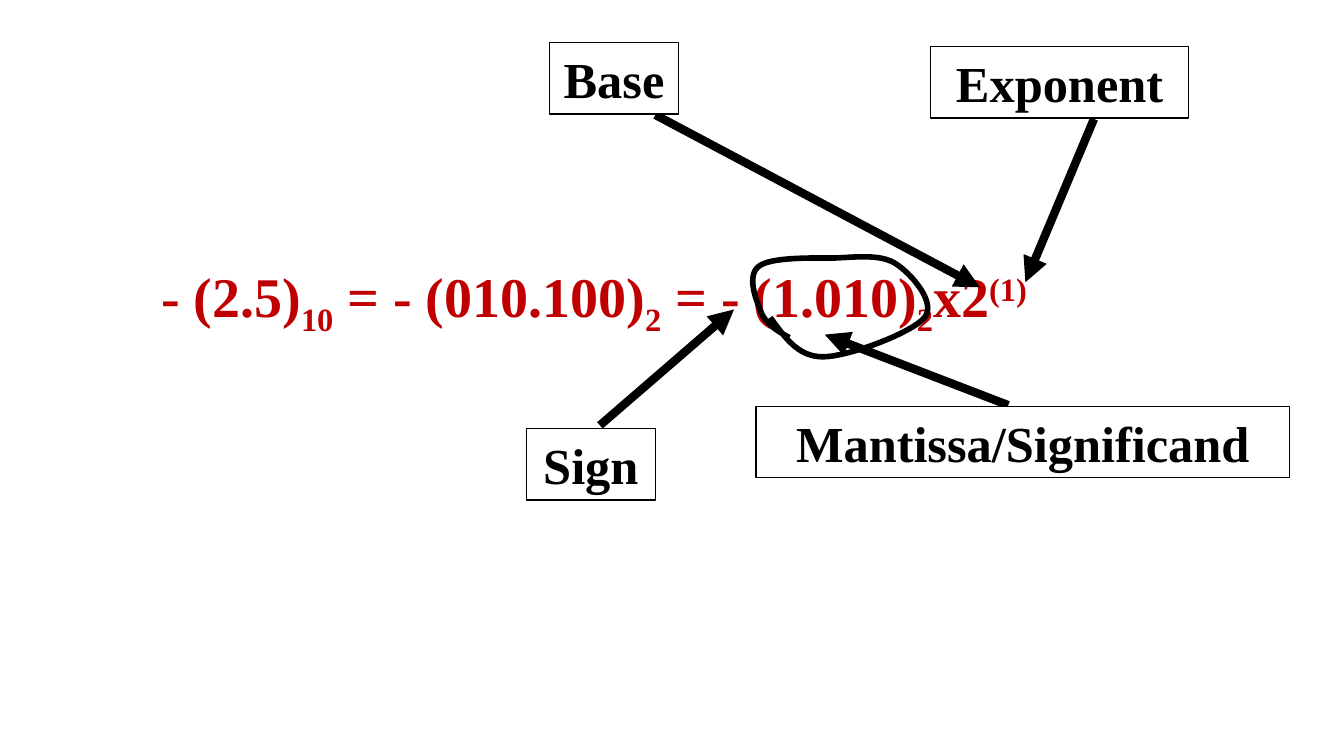
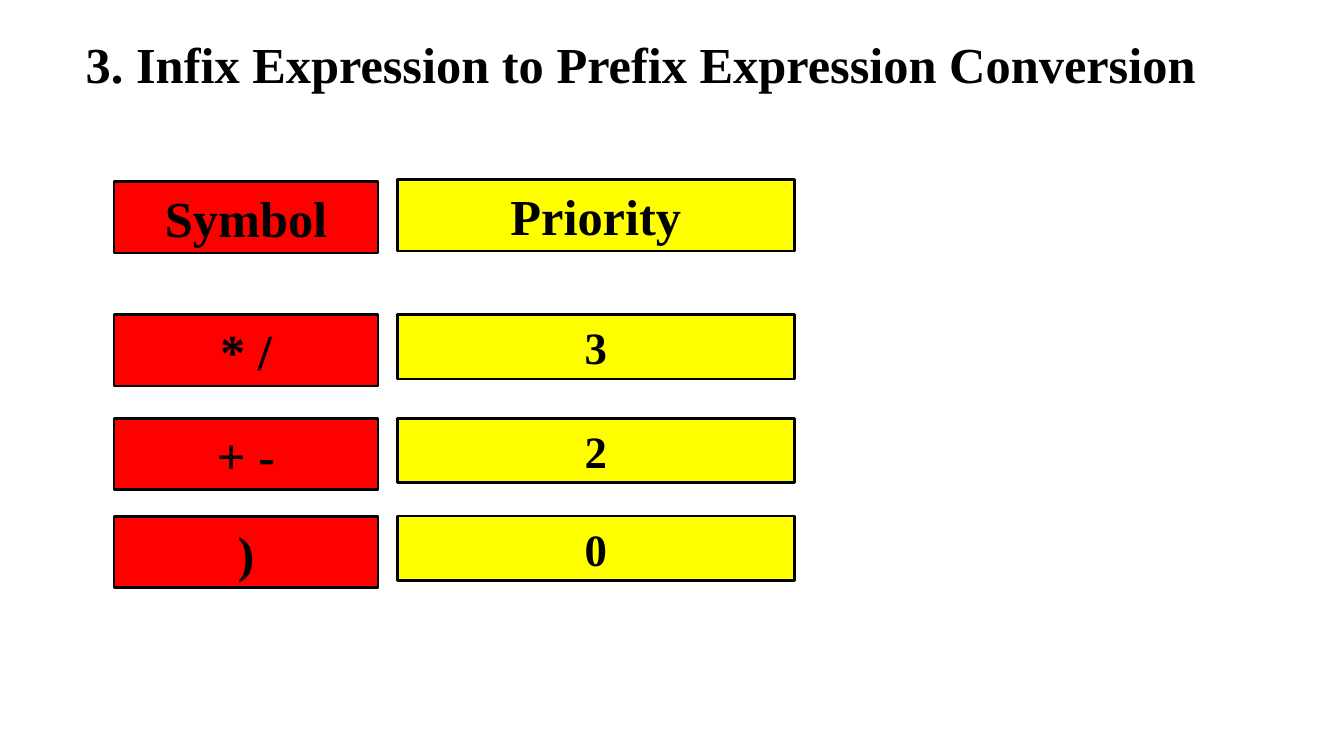
from dataclasses import dataclass

from lxml import etree
from pptx import Presentation
from pptx.dml.color import RGBColor
from pptx.enum.shapes import MSO_CONNECTOR, MSO_SHAPE
from pptx.enum.text import MSO_ANCHOR, MSO_AUTO_SIZE, PP_ALIGN
from pptx.oxml.ns import qn
from pptx.slide import Slide
from pptx.text.text import TextFrame
from pptx.util import Inches, Pt

BLACK = RGBColor(0x00, 0x00, 0x00)
WHITE = RGBColor(0xFF, 0xFF, 0xFF)
DARK_RED = RGBColor(0xC0, 0x00, 0x00)
RED = RGBColor(0xFF, 0x00, 0x00)
YELLOW = RGBColor(0xFF, 0xFF, 0x00)

RECTANGLE = MSO_SHAPE.RECTANGLE
STRAIGHT = MSO_CONNECTOR.STRAIGHT
LEFT, CENTER = PP_ALIGN.LEFT, PP_ALIGN.CENTER
MIDDLE = MSO_ANCHOR.MIDDLE
NO_AUTOSIZE = MSO_AUTO_SIZE.NONE

FONT_FORMAT = {"name": "Times New Roman", "bold": True}
TITLE_LAYOUT, BLANK_LAYOUT = 5, 6
BOX_HEIGHT = 0.71
SUBSCRIPT, SUPERSCRIPT = -25, 30

Point = tuple[float, float]


@dataclass(frozen=True)
class Box:
    text: str
    left: float
    top: float
    width: float
    height: float = BOX_HEIGHT
    fill: RGBColor = WHITE
    border: float = 1
    size: float = 36


@dataclass(frozen=True)
class Callout:
    label: Box
    start: Point
    tip: Point


@dataclass(frozen=True)
class Column:
    left: float
    width: float
    fill: RGBColor
    header_top: float
    row_height: float
    row_size: float


# Parts of the floating point number
FORMULA = [
    ("- (2.5)", 0), ("10", SUBSCRIPT),
    (" = - (010.100)", 0), ("2", SUBSCRIPT),
    (" = - (1.010)", 0), ("2", SUBSCRIPT),
    ("x2", 0), ("(1)", SUPERSCRIPT),
]
CALLOUTS = [
    Callout(Box("Sign", 5.22, 4.25, 1.28), (5.95, 4.22), (7.28, 3.07)),
    Callout(Box("Mantissa/Significand", 7.5, 4.03, 5.29), (10, 4.02), (8.18, 3.32)),
    Callout(Box("Base", 5.45, 0.42, 1.28), (6.5, 1.14), (9.72, 2.85)),
    Callout(Box("Exponent", 9.23, 0.46, 2.56), (10.85, 1.18), (10.17, 2.8)),
]
# Hand-drawn loop: a start, then two control points and an end per curve
LOOP_START = (7.64, 3.15)
LOOP_CURVES = [
    ((7.78, 3.34), (7.91, 3.54), (8.16, 3.54)),
    ((8.42, 3.54), (9.05, 3.3), (9.17, 3.15)),
    ((9.29, 3), (9.04, 2.72), (8.89, 2.62)),
    ((8.74, 2.52), (8.51, 2.55), (8.28, 2.56)),
    ((8.05, 2.56), (7.65, 2.55), (7.53, 2.64)),
    ((7.4, 2.73), (7.5, 2.98), (7.55, 3.1)),
    ((7.6, 3.22), (7.72, 3.29), (7.83, 3.35)),
]
CURVE_STEPS = 16

# Operator priorities
SYMBOL = Column(1.13, 2.62, RED, 1.8, BOX_HEIGHT, 36)
PRIORITY = Column(3.94, 3.94, YELLOW, 1.78, 0.64, 32)
ROW_TOPS = [3.12, 4.15, 5.12]
PRIORITY_TABLE = [
    (SYMBOL, "Symbol", ["* /", "+ -", ")"]),
    (PRIORITY, "Priority", ["3", "2", "0"]),
]


def add_run(frame: TextFrame, text: str, size: float, color: RGBColor,
            baseline: int = 0) -> None:
    run = frame.paragraphs[0].add_run()
    run.text = text
    for attribute, value in (FONT_FORMAT | {"size": Pt(size)}).items():
        setattr(run.font, attribute, value)
    run.font.color.rgb = color
    if baseline:
        run.font._element.set("baseline", str(baseline * 1000))


def add_box(slide: Slide, box: Box) -> None:
    shape = slide.shapes.add_shape(
        RECTANGLE, Inches(box.left), Inches(box.top),
        Inches(box.width), Inches(box.height))
    shape.shadow.inherit = False
    shape.fill.solid()
    shape.fill.fore_color.rgb = box.fill
    shape.line.color.rgb = BLACK
    shape.line.width = Pt(box.border)
    shape.text_frame.vertical_anchor = MIDDLE
    shape.text_frame.paragraphs[0].alignment = CENTER
    add_run(shape.text_frame, box.text, box.size, BLACK)


def add_arrow(slide: Slide, start: Point, tip: Point) -> None:
    arrow = slide.shapes.add_connector(
        STRAIGHT, *(Inches(value) for value in (*start, *tip)))
    arrow.line.color.rgb = BLACK
    arrow.line.width = Pt(6)
    etree.SubElement(arrow.line._get_or_add_ln(), qn("a:tailEnd"), type="triangle")
    etree.SubElement(arrow._element.spPr, qn("a:effectLst"))


def curve_point(points: tuple[Point, ...], t: float) -> Point:
    weights = ((1 - t) ** 3, 3 * t * (1 - t) ** 2, 3 * t ** 2 * (1 - t), t ** 3)
    x, y = (sum(w * p[axis] for w, p in zip(weights, points)) for axis in (0, 1))
    return Inches(x), Inches(y)


def add_loop(slide: Slide) -> None:
    builder = slide.shapes.build_freeform(*(Inches(value) for value in LOOP_START))
    start = LOOP_START
    for curve in LOOP_CURVES:
        builder.add_line_segments(
            [curve_point((start, *curve), step / CURVE_STEPS)
             for step in range(1, CURVE_STEPS + 1)], close=False)
        start = curve[-1]
    loop = builder.convert_to_shape()
    loop.shadow.inherit = False
    loop.fill.background()
    loop.line.color.rgb = BLACK
    loop.line.width = Pt(4)


def build_number_slide(prs) -> None:
    slide = prs.slides.add_slide(prs.slide_layouts[BLANK_LAYOUT])
    formula = slide.shapes.add_textbox(
        Inches(1.5), Inches(2.55), Inches(11.45), Inches(0.77)).text_frame
    formula.word_wrap = True
    for text, baseline in FORMULA:
        add_run(formula, text, 40, DARK_RED, baseline)
    add_loop(slide)
    for callout in CALLOUTS:
        add_arrow(slide, callout.start, callout.tip)
        add_box(slide, callout.label)


def build_priority_slide(prs) -> None:
    slide = prs.slides.add_slide(prs.slide_layouts[TITLE_LAYOUT])
    title = slide.shapes.title
    title.left, title.top = Inches(0.75), Inches(0.27)
    title.width, title.height = Inches(12.25), Inches(BOX_HEIGHT)
    title.text_frame.auto_size = NO_AUTOSIZE
    title.text_frame.vertical_anchor = MIDDLE
    title.text_frame.paragraphs[0].alignment = LEFT
    add_run(title.text_frame, "3. Infix Expression to Prefix Expression Conversion",
            36, BLACK)
    for column, header, entries in PRIORITY_TABLE:
        add_box(slide, Box(header, column.left, column.header_top, column.width,
                           fill=column.fill, border=2))
        for top, entry in zip(ROW_TOPS, entries):
            add_box(slide, Box(entry, column.left, top, column.width,
                               column.row_height, column.fill, 2, column.row_size))


def main() -> None:
    prs = Presentation()
    prs.slide_width, prs.slide_height = Inches(13.33), Inches(7.5)
    build_number_slide(prs)
    build_priority_slide(prs)
    prs.save("out.pptx")


if __name__ == "__main__":
    main()
